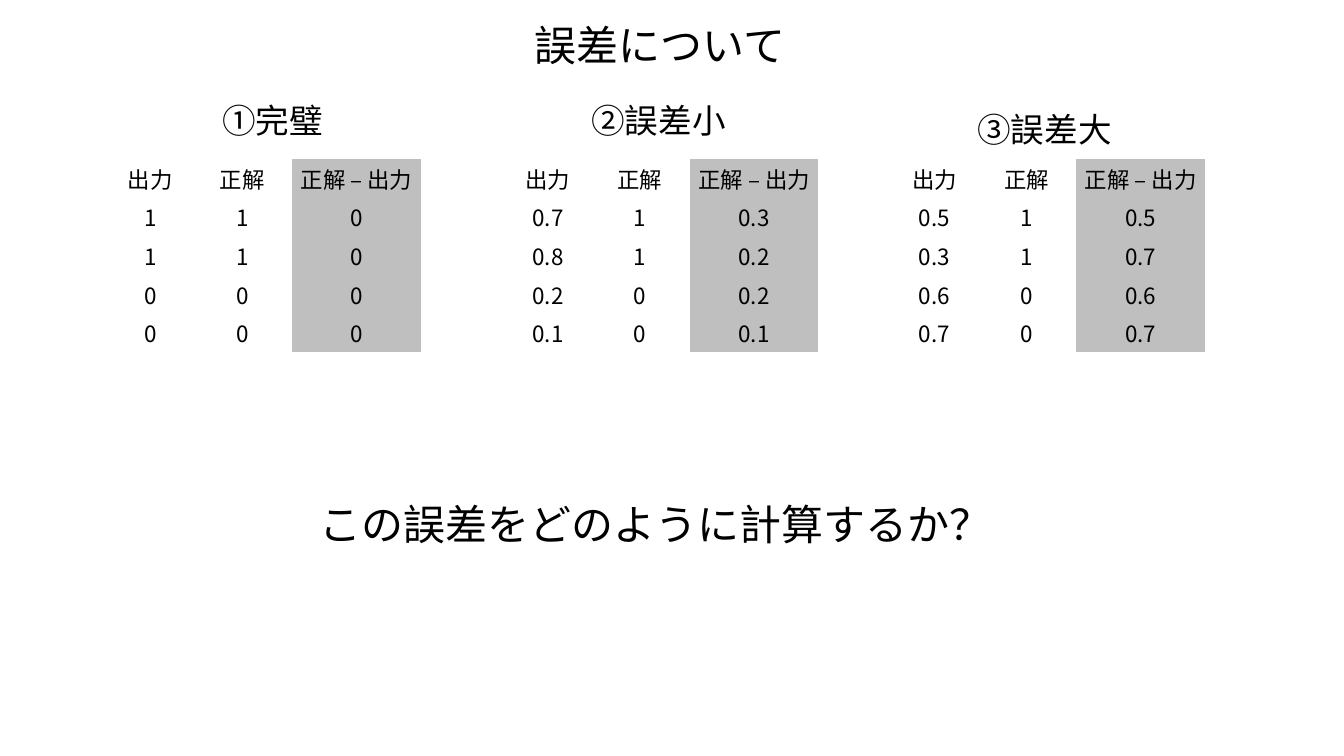
from dataclasses import dataclass

from lxml import etree
from pptx import Presentation
from pptx.dml.color import RGBColor
from pptx.enum.text import MSO_ANCHOR, MSO_AUTO_SIZE, PP_ALIGN
from pptx.oxml.ns import qn
from pptx.util import Pt

MIDDLE = MSO_ANCHOR.MIDDLE
CENTER = PP_ALIGN.CENTER
FIT_SHAPE = MSO_AUTO_SIZE.SHAPE_TO_FIT_TEXT
PLAIN_TABLE = "{2D5ABB26-0587-4C30-8999-92F81FD0307C}"


@dataclass(frozen=True)
class Theme:
    font: str = "Noto Sans CJK JP"
    ink: RGBColor = RGBColor(0, 0, 0)
    paper: RGBColor = RGBColor(255, 255, 255)
    highlight: RGBColor = RGBColor(191, 191, 191)
    title: int = 60
    heading: int = 48
    body: int = 32
    inset: int = 4


class SlideBuilder:
    def __init__(self, slide, theme):
        self.s = slide
        self.theme = theme

    def style(self, p, size):
        for r in p.runs:
            r.font.size = Pt(size)
            r.font.color.rgb = self.theme.ink
            r.font.name = self.theme.font
            ea = etree.SubElement(r.font._element, qn("a:ea"))
            ea.set("typeface", self.theme.font)

    def inset(self, box):
        box.margin_left = box.margin_right = Pt(self.theme.inset)
        box.margin_top = box.margin_bottom = Pt(self.theme.inset)
        box.vertical_anchor = MIDDLE

    def label(self, text, x, y, w, h, size):
        sp = self.s.shapes.add_textbox(Pt(x), Pt(y), Pt(w), Pt(h))
        tf = sp.text_frame
        tf.text = text
        tf.word_wrap = False
        tf.auto_size = FIT_SHAPE
        self.inset(tf)
        self.style(tf.paragraphs[0], size)

    def table(self, rows, x, y, widths, row_height):
        sp = self.s.shapes.add_table(
            len(rows), len(widths), Pt(x), Pt(y),
            Pt(sum(widths)), Pt(row_height * len(rows)))
        table = sp.table
        table.first_row = table.horz_banding = False
        table._tbl.tblPr.find(qn("a:tableStyleId")).text = PLAIN_TABLE
        for column, width in zip(table.columns, widths):
            column.width = Pt(width)
        for i, row in enumerate(rows):
            table.rows[i].height = Pt(row_height)
            for j, text in enumerate(row):
                self.cell(table.cell(i, j), text, j == len(widths) - 1)

    def cell(self, cell, text, highlighted):
        cell.text = text
        self.inset(cell)
        cell.fill.solid()
        cell.fill.fore_color.rgb = (
            self.theme.highlight if highlighted else self.theme.paper)
        p = cell.text_frame.paragraphs[0]
        p.alignment = CENTER
        self.style(p, self.theme.body)


def error_rows(outputs, answers):
    rows = [("出力", "正解", "正解 – 出力")]
    for output, answer in zip(outputs, answers):
        rows.append((f"{output:g}", f"{answer:g}", f"{abs(answer - output):.1g}"))
    return rows


def main():
    theme = Theme()
    prs = Presentation()
    prs.slide_width, prs.slide_height = Pt(1920.24), Pt(1080)
    builder = SlideBuilder(prs.slides.add_slide(prs.slide_layouts[6]), theme)

    answers = (1, 1, 0, 0)
    cases = (
        ("①完璧", (313.2, 141.8, 169.2), 154.8, (1, 1, 0, 0)),
        ("②誤差小", (841, 141.8, 218.2), 722.9, (0.7, 0.8, 0.2, 0.1)),
        ("③誤差大", (1392.5, 154.8, 218.2), 1275.1, (0.5, 0.3, 0.6, 0.7)),
    )
    builder.label("誤差について", 760.3, 27.4, 371.5, 73.4, theme.title)
    for heading, place, table_x, outputs in cases:
        builder.label(heading, *place, 60.5, theme.heading)
        builder.table(error_rows(outputs, answers), table_x, 227.5,
                      (120.2, 142.6, 183.6), 55.2)
    builder.label("この誤差をどのように計算するか？",
                  452.9, 711.4, 977.8, 73.4, theme.title)
    prs.save("out.pptx")


if __name__ == "__main__":
    main()
